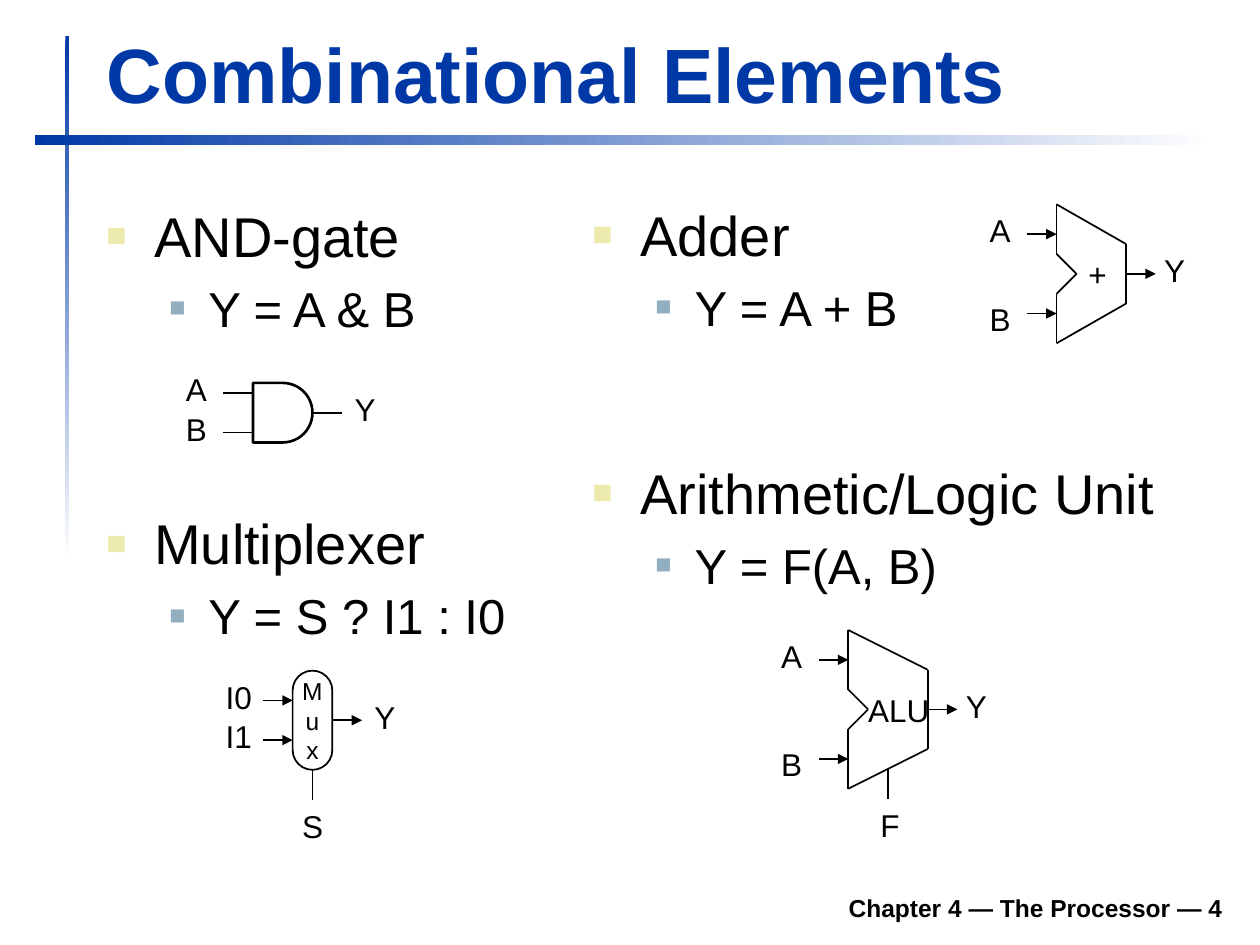
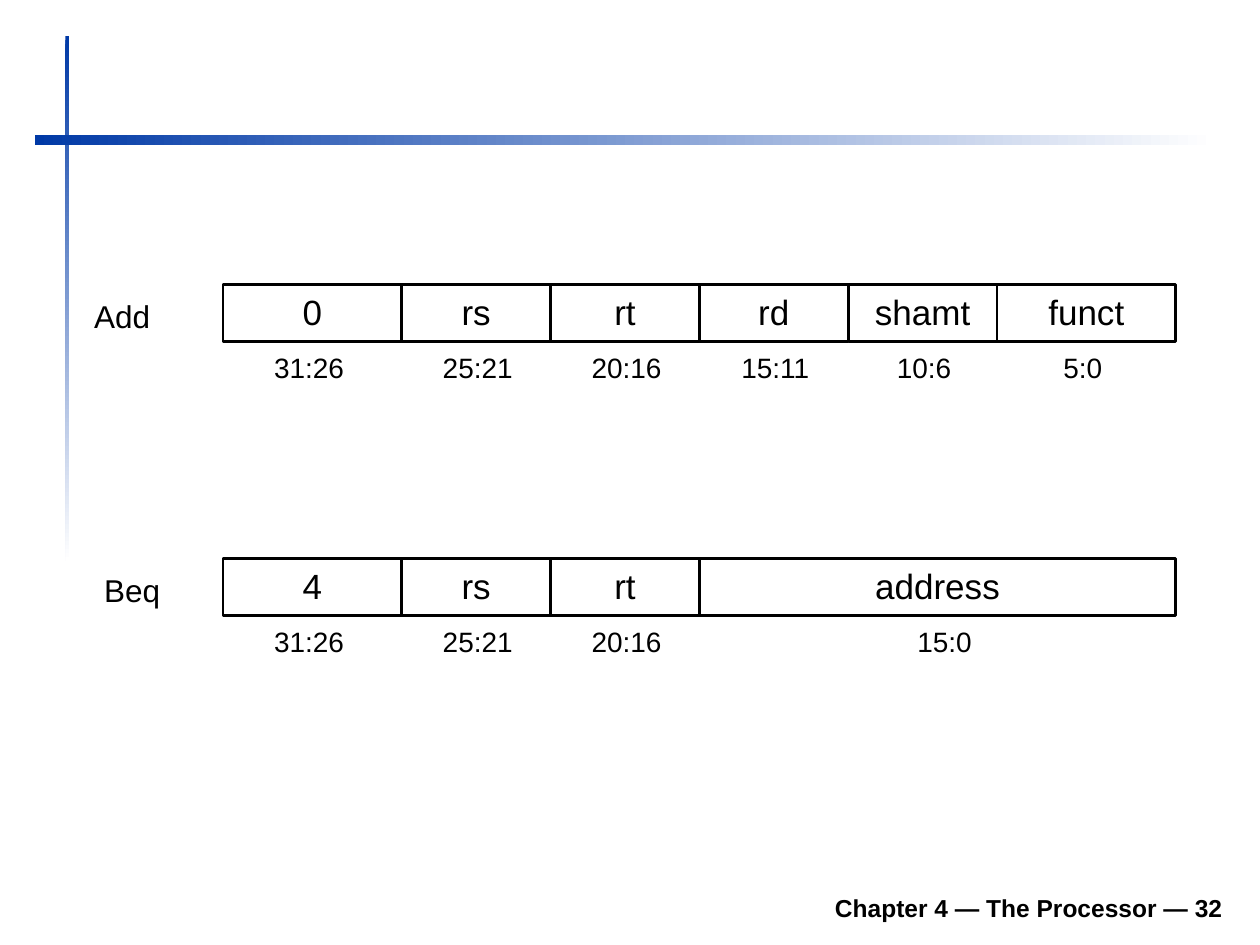
"""Two slides on processor building blocks and instruction formats."""
from dataclasses import dataclass

from lxml.etree import SubElement
from pptx import Presentation
from pptx.dml.color import RGBColor
from pptx.enum.shapes import MSO_CONNECTOR, MSO_SHAPE
from pptx.enum.text import MSO_ANCHOR, MSO_AUTO_SIZE, PP_ALIGN
from pptx.oxml.ns import qn
from pptx.util import Inches, Pt

FONT, BLUE, BLACK, WHITE = "Arial", "0039A6", "000000", "FFFFFF"
COLUMNS = 127
CELL = Inches(10) / COLUMNS
TEXT_RISE = 2.28
INPUT_GAP = -3.75
WIRE = 3


@dataclass(frozen=True)
class Box:
    """A rectangle in grid cells."""
    x: float
    y: float
    w: float
    h: float

    def emu(self) -> list[int]:
        """Give left, top, width and height in EMU."""
        return [cells(v) for v in (self.x, self.y, self.w, self.h)]


@dataclass(frozen=True)
class Level:
    """The look of one list level."""
    size: int
    color: str
    percent: int
    left: float
    hang: float
    before: float


@dataclass(frozen=True)
class Topic:
    """A circuit element and its formula."""
    name: str
    formula: str
    box: Box


@dataclass(frozen=True)
class Pin:
    """A horizontal wire with its signal name."""
    x: float
    y: float
    name: str
    gap: float = INPUT_GAP
    rise: float = TEXT_RISE
    arrow: bool = True


@dataclass(frozen=True)
class Field:
    """A run of bits in an instruction word."""
    name: str
    high: int
    low: int
    shift: float = 0.15


@dataclass(frozen=True)
class Instruction:
    """An instruction format and where it is drawn."""
    name: str
    x: float
    y: float
    fields: tuple[Field, ...]


LEVELS = (Level(32, "ECEAAC", 60, 0.38, 0.38, 0),
          Level(28, "91AFBF", 55, 0.81, 0.31, 5.5))
TOPICS = (
    Topic("AND-gate", "Y = A & B", Box(9.45, 20.3, 43, 17)),
    Topic("Multiplexer", "Y = S ? I1 : I0", Box(9.45, 51.3, 45, 17)),
    Topic("Adder", "Y = A + B", Box(58.45, 20.2, 43, 17)),
    Topic("Arithmetic/Logic Unit", "Y = F(A, B)", Box(58.45, 46.2, 60, 17)),
)
REGISTERS = (Field("rs", 25, 21), Field("rt", 20, 16))
INSTRUCTIONS = (
    Instruction("Add", 9.5, 28.68, (
        Field("0", 31, 26, -0.35), *REGISTERS, Field("rd", 15, 11),
        Field("shamt", 10, 6), Field("funct", 5, 0, -0.35))),
    Instruction("Beq", 10.5, 56.3, (
        Field("4", 31, 26, -0.35), *REGISTERS, Field("address", 15, 0, 0.7))),
)
WORD_LEFT, BIT_WIDTH, FIELD_HEIGHT = 22.5, 3, 5.75


def cells(count: float) -> int:
    """Turn grid cells into EMU."""
    return round(count * CELL)


def rgb(color: str) -> RGBColor:
    """Turn a hex string into a colour."""
    return RGBColor.from_string(color)


def write(p, text: str, size: int, color: str = BLACK, bold: bool = False) -> None:
    """Add one formatted run."""
    r = p.add_run()
    r.text = text
    r.font.name, r.font.size, r.font.bold = FONT, Pt(size), bold
    r.font.color.rgb = rgb(color)


def frame(s, anchor=MSO_ANCHOR.TOP, inset: float | None = None):
    """Prepare the text frame of a shape."""
    tf = s.text_frame
    tf.word_wrap, tf.auto_size = True, MSO_AUTO_SIZE.NONE
    tf.vertical_anchor = anchor
    if inset is not None:
        tf.margin_left = tf.margin_right = Inches(inset)
        tf.margin_top = tf.margin_bottom = Inches(inset)
    return tf


def label(slide, text: str, box: Box, size: int = 18, align=PP_ALIGN.LEFT) -> None:
    """Write a word with no margins."""
    p = frame(slide.shapes.add_textbox(*box.emu()), inset=0).paragraphs[0]
    p.alignment = align
    write(p, text, size)


def shape(slide, kind, box: Box, width: float):
    """Draw a preset shape with a black line and no fill."""
    s = slide.shapes.add_shape(kind, *box.emu())
    s.shadow.inherit = False
    s.fill.background()
    s.line.color.rgb, s.line.width = rgb(BLACK), Pt(width)
    return s


def wire(slide, x1: float, y1: float, x2: float, y2: float, arrow: bool = False) -> None:
    """Draw a thin line, with an arrowhead if asked."""
    c = slide.shapes.add_connector(MSO_CONNECTOR.STRAIGHT, *map(cells, (x1, y1, x2, y2)))
    c.line.color.rgb, c.line.width = rgb(BLACK), Pt(1)
    if arrow:
        SubElement(c.line._get_or_add_ln(), qn("a:tailEnd"), type="triangle")
    SubElement(c._element.spPr, qn("a:effectLst"))


def draw_pins(slide, *pins: Pin) -> None:
    """Draw wires and name their signals."""
    for pin in pins:
        wire(slide, pin.x, pin.y, pin.x + WIRE, pin.y, pin.arrow)
        label(slide, pin.name, Box(pin.x + pin.gap, pin.y - pin.rise, 4, 4))


def draw_select(slide, x: float, y: float, name: str, gap: float) -> None:
    """Draw a control wire below an element."""
    wire(slide, x, y, x, y + WIRE)
    label(slide, name, Box(x + gap, y + 3.75, 4, 4))


def draw_and_gate(slide) -> None:
    """Draw the AND gate."""
    gate = Box(25.5, 38.6, 6, 6)
    shape(slide, MSO_SHAPE.FLOWCHART_DELAY, gate, 1.5)
    left = gate.x - WIRE
    draw_pins(slide, Pin(left, gate.y + 1, "A", arrow=False),
              Pin(left, gate.y + 5, "B", arrow=False),
              Pin(gate.x + gate.w, gate.y + 3, "Y", WIRE + 1.25, arrow=False))


def draw_mux(slide) -> None:
    """Draw the multiplexer."""
    mux = Box(29.5, 67.6, 4, 10)
    s = shape(slide, MSO_SHAPE.ROUNDED_RECTANGLE, mux, 1)
    s.adjustments[0] = 0.5
    p = frame(s, inset=0).paragraphs[0]
    p.alignment = PP_ALIGN.CENTER
    for i, letter in enumerate("Mux"):
        if i:
            p.add_line_break()
        write(p, letter, 14)
    left = mux.x - WIRE
    draw_pins(slide, Pin(left, mux.y + 3, "I0"), Pin(left, mux.y + 7, "I1"),
              Pin(mux.x + mux.w, mux.y + 5, "Y", WIRE + 1.25))
    draw_select(slide, mux.x + 2, mux.y + mux.h, "S", -1.05)


def draw_arithmetic(slide, box: Box, name: str, gap: float) -> None:
    """Draw a notched arithmetic block with two inputs."""
    x, y, w, h = box.x, box.y, box.w, box.h
    mid, right = y + h / 2, x + w
    corners = [(x, y), (right, y + 4), (right, y + h - 4), (x, y + h),
               (x, mid + 2), (x + 2, mid), (x, mid - 2)]
    for start, end in zip(corners, corners[1:] + corners[:1]):
        wire(slide, *start, *end)
    label(slide, name, Box(x + gap, mid - 1.85, 6.5, 4))
    draw_pins(slide, Pin(x - WIRE, y + 3, "A"),
              Pin(x - WIRE, y + h - 3, "B", rise=1.4),
              Pin(right, mid, "Y", WIRE + 0.85))


def draw_list(s, topic: Topic) -> None:
    """Fill a body placeholder with a topic and its formula."""
    s.left, s.top, s.width, s.height = topic.box.emu()
    tf = frame(s, inset=0)
    tf.margin_left = Inches(0.1)
    for i, (text, level) in enumerate(zip((topic.name, topic.formula), LEVELS)):
        p = tf.add_paragraph() if i else tf.paragraphs[0]
        p.level, p.alignment, p.space_before = i, PP_ALIGN.LEFT, Pt(level.before)
        pPr = p._p.get_or_add_pPr()
        pPr.set("marL", str(Inches(level.left)))
        pPr.set("indent", str(-Inches(level.hang)))
        SubElement(SubElement(pPr, qn("a:buClr")), qn("a:srgbClr"), val=level.color)
        SubElement(pPr, qn("a:buSzPct"), val=str(level.percent * 1000))
        SubElement(pPr, qn("a:buFont"), typeface=FONT)
        SubElement(pPr, qn("a:buChar"), char="■")
        write(p, text, level.size)


def draw_instruction(slide, item: Instruction) -> None:
    """Draw an instruction word with its bit ranges."""
    label(slide, item.name, Box(item.x, item.y + 1.3, 8, 4))
    for field in item.fields:
        x = WORD_LEFT + BIT_WIDTH * (31 - field.high)
        w = BIT_WIDTH * (field.high - field.low + 1)
        s = shape(slide, MSO_SHAPE.RECTANGLE, Box(x, item.y, w, FIELD_HEIGHT), 1.5)
        p = frame(s).paragraphs[0]
        p.alignment = PP_ALIGN.CENTER
        write(p, field.name, 20)
        label(slide, f"{field.high}:{field.low}",
              Box(x + field.shift, item.y + 6.67, w, 4), 16, PP_ALIGN.CENTER)


def add_slide(prs, layout: int, number: int):
    """Add a slide with the crossed bands and the footer."""
    slide = prs.slides.add_slide(prs.slide_layouts[layout])
    for box, angle in ((Box(6.6, 3.6, 0.4, 53), 270), (Box(3.5, 13.6, 119, 1), 0)):
        s = shape(slide, MSO_SHAPE.RECTANGLE, box, 1)
        s.line.fill.background()
        s.fill.gradient()
        s.fill.gradient_angle = angle
        for stop, color in zip(s.fill.gradient_stops, (BLUE, WHITE)):
            stop.color.rgb = rgb(color)
    footer = slide.shapes.add_textbox(*Box(23.5, 88.6, 101, 5).emu())
    p = frame(footer, MSO_ANCHOR.BOTTOM).paragraphs[0]
    p.alignment = PP_ALIGN.RIGHT
    write(p, f"Chapter 4 — The Processor — {number}", 14, bold=True)
    return slide


def main() -> None:
    """Build both slides and save them."""
    prs = Presentation()
    prs.slide_width, prs.slide_height = Inches(10), Inches(7.5)

    slide = add_slide(prs, 4, 4)
    title, *bodies = list(slide.placeholders)
    title.left, title.top, title.width, title.height = Box(9.5, 2.1, 114.7, 10.5).emu()
    p = frame(title, MSO_ANCHOR.BOTTOM).paragraphs[0]
    p.alignment = PP_ALIGN.LEFT
    write(p, "Combinational Elements", 44, BLUE, True)
    for body, topic in zip(bodies, TOPICS):
        draw_list(body, topic)
    draw_and_gate(slide)
    draw_mux(slide)
    draw_arithmetic(slide, Box(106.5, 20.6, 7, 14), "+", 3.2)
    draw_arithmetic(slide, Box(85.5, 63.5, 8, 16), "ALU", 2)
    draw_select(slide, 89.5, 77.5, "F", -0.75)

    slide = add_slide(prs, 6, 32)
    for item in INSTRUCTIONS:
        draw_instruction(slide, item)
    for s in list(slide.placeholders):
        s.element.getparent().remove(s.element)
    prs.save("out.pptx")


if __name__ == "__main__":
    main()
